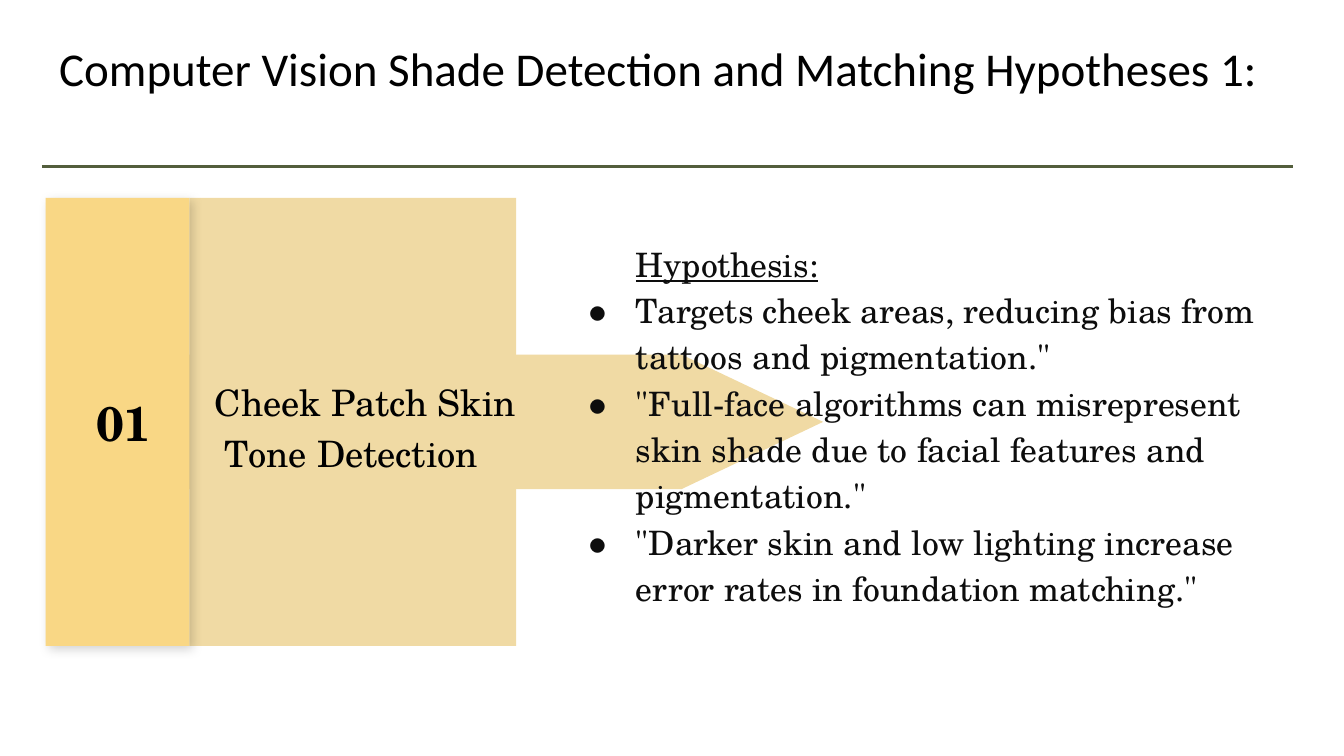
from lxml.etree import SubElement
from pptx import Presentation
from pptx.dml.color import RGBColor
from pptx.enum.shapes import MSO_CONNECTOR, MSO_SHAPE
from pptx.enum.text import MSO_ANCHOR, MSO_AUTO_SIZE, PP_ALIGN
from pptx.oxml.ns import qn
from pptx.util import Pt

COLORS = {
    "black": "000000",
    "ink": "0D0D0D",
    "sand": "F0DAA4",
    "yellow": "F9D785",
    "rule": "535E3C",
}
SERIF = "TeX Gyre Schola"
INSET = 7.2
HYPOTHESES = [
    'Targets cheek areas, reducing bias from tattoos and pigmentation."',
    '"Full-face algorithms can misrepresent skin shade due to facial features and pigmentation."',
    '"Darker skin and low lighting increase error rates in foundation matching."',
]


def rgb(name):
    return RGBColor.from_string(COLORS[name])


def place(shape, left, top, width, height):
    shape.left, shape.top = Pt(left), Pt(top)
    shape.width, shape.height = Pt(width), Pt(height)


def prepare_frame(shape, anchor=MSO_ANCHOR.MIDDLE, left_inset=INSET):
    frame = shape.text_frame
    frame.word_wrap = True
    frame.auto_size = MSO_AUTO_SIZE.NONE
    frame.vertical_anchor = anchor
    frame.margin_left = Pt(left_inset)
    frame.margin_right = frame.margin_top = frame.margin_bottom = Pt(INSET)
    return frame


def write(frame, text, size, font=SERIF, color="black", bold=False,
          underline=False, spacing=1.0, margin=0, indent=0, bullet=None):
    paragraph = frame.paragraphs[0]
    if paragraph.runs:
        paragraph = frame.add_paragraph()
    paragraph.alignment = PP_ALIGN.LEFT
    paragraph.line_spacing = spacing
    paragraph.space_before = Pt(0)
    props = paragraph._p.get_or_add_pPr()
    props.set("marL", str(Pt(margin)))
    props.set("indent", str(Pt(indent)))
    if bullet:
        bullet_color = SubElement(props, qn("a:buClr"))
        SubElement(bullet_color, qn("a:srgbClr"), val=COLORS[color])
        SubElement(props, qn("a:buFont"), typeface=font)
        SubElement(props, qn("a:buChar"), char=bullet)
    else:
        SubElement(props, qn("a:buNone"))
    run = paragraph.add_run()
    run.text = text
    run.font.size = Pt(size)
    run.font.name = font
    run.font.bold = bold
    run.font.underline = underline
    run.font.color.rgb = rgb(color)


def add_block(slide, kind, color, left, top, width, height):
    block = slide.shapes.add_shape(kind, Pt(left), Pt(top), Pt(width), Pt(height))
    block.shadow.inherit = False
    block.fill.solid()
    block.fill.fore_color.rgb = rgb(color)
    block.line.fill.background()
    return block


def cast_shadow(shape):
    effects = shape._element.spPr.find(qn("a:effectLst"))
    shadow = SubElement(effects, qn("a:outerShdw"), blurRad=str(Pt(5.6)),
                        dist=str(Pt(2.2)), dir="2700000", algn="tl", rotWithShape="0")
    tone = SubElement(shadow, qn("a:srgbClr"), val=COLORS["black"])
    SubElement(tone, qn("a:alpha"), val="17000")


def add_heading(slide, left, top, width, height):
    title = slide.shapes.title
    place(title, left, top, width, height)
    write(prepare_frame(title, MSO_ANCHOR.TOP),
          "Computer Vision Shade Detection and Matching Hypotheses 1:", 25.2, font="Calibri")
    rule_y = Pt(top + 75.6)
    rule = slide.shapes.add_connector(
        MSO_CONNECTOR.STRAIGHT, Pt(left - 2), rule_y, Pt(left + width - 3), rule_y)
    rule.line.color.rgb = rgb("rule")
    rule.line.width = Pt(1.5)
    SubElement(rule._element.spPr, qn("a:effectLst"))


def add_topic(slide, left, top, width, height):
    number_width = 77
    panel_left = left + number_width
    add_block(slide, MSO_SHAPE.RECTANGLE, "sand",
              panel_left, top, width - number_width, height)

    thickness, length = 72, 379
    center_x, center_y = left + 227, top + height / 2
    arrow = add_block(slide, MSO_SHAPE.FLOWCHART_OFFPAGE_CONNECTOR, "sand",
                      center_x - thickness / 2, center_y - length / 2, thickness, length)
    arrow.rotation = 270

    label = slide.shapes.add_textbox(Pt(panel_left + 6.5), Pt(top + 28.8), Pt(217), Pt(185))
    label_frame = prepare_frame(label)
    write(label_frame, "Cheek Patch Skin", 19.5, spacing=1.15)
    write(label_frame, "Tone Detection", 19.5, spacing=1.15, margin=5.4)

    number = add_block(slide, MSO_SHAPE.RECTANGLE, "yellow", left, top, number_width, height)
    cast_shadow(number)
    write(prepare_frame(number, left_inset=27), "01", 26, bold=True)


def add_hypotheses(slide, left, top, width, height):
    body = slide.placeholders[1]
    place(body, left, top, width, height)
    frame = prepare_frame(body)
    style = {"size": 18, "color": "ink", "spacing": 1.15, "margin": 36}
    write(frame, "Hypothesis:", underline=True, **style)
    for hypothesis in HYPOTHESES:
        write(frame, hypothesis, indent=-27, bullet="●", **style)
    slide.shapes.element.append(body.element)


def main():
    deck = Presentation()
    deck.slide_width, deck.slide_height = Pt(720), Pt(405)
    slide = deck.slides.add_slide(deck.slide_layouts[1])
    add_heading(slide, 24.5, 13.7, 671, 45.4)
    add_topic(slide, 24.5, 106, 252, 240)
    add_hypotheses(slide, 297.4, 106.6, 391.7, 240)
    deck.save("out.pptx")


if __name__ == "__main__":
    main()
